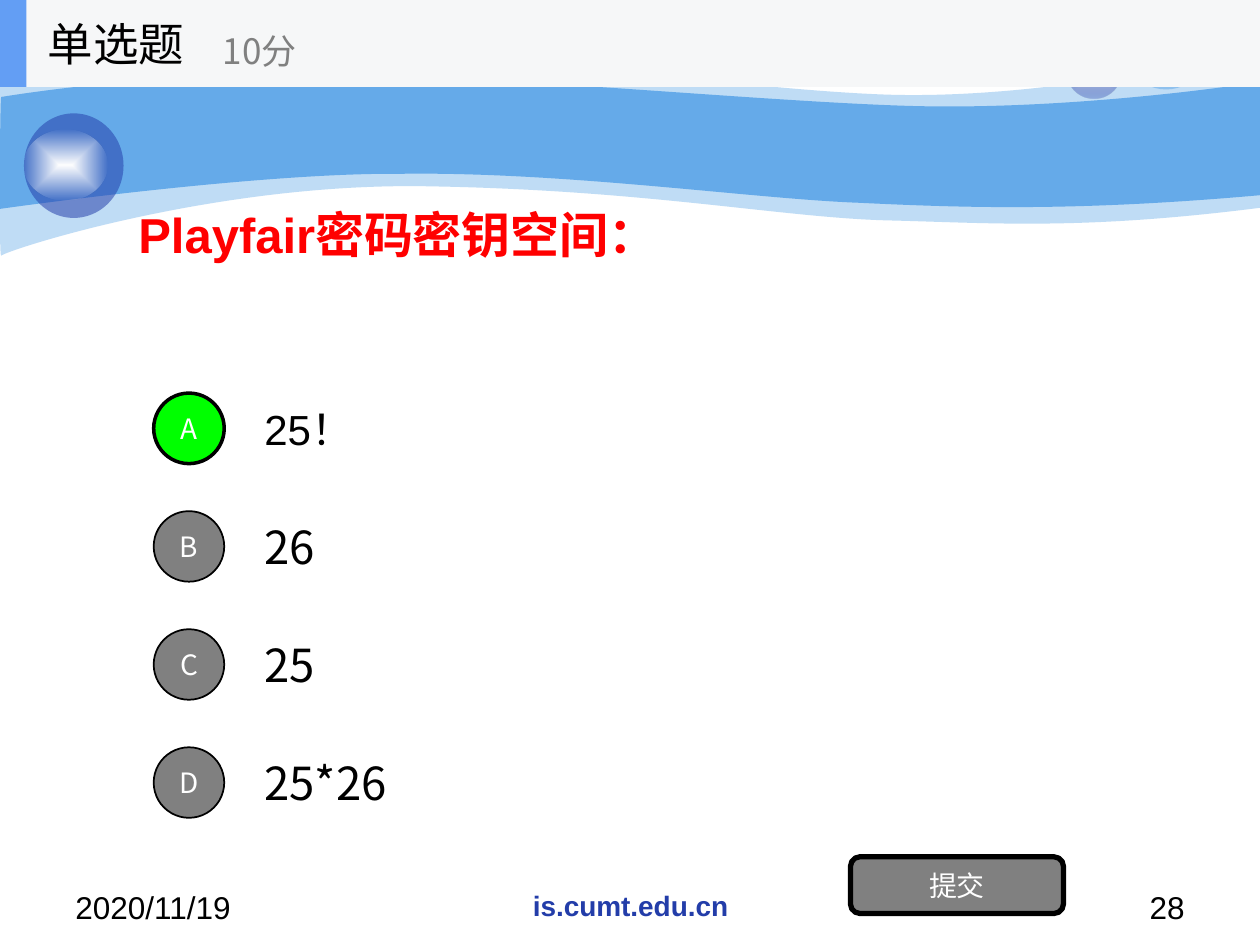
from lxml.etree import SubElement
from pptx import Presentation
from pptx.dml.color import RGBColor
from pptx.enum.shapes import MSO_SHAPE
from pptx.enum.text import MSO_ANCHOR, PP_ALIGN
from pptx.oxml.ns import qn
from pptx.util import Inches, Pt

HAN = "Noto Sans CJK SC"
BLUE, NAVY, SKY, GREY = "65AAE9", "233DA9", "639EF4", "808080"
BLACK, WHITE = "000000", "FFFFFF"
OUTER = [(0, 5), (2.4, 4.7, 10.7, 3.8, 24.7, 3.9), (38.6, 3.9, 57.5, 7, 69.9, 7.5),
         (82.2, 8, 98, 4.7, 100, 3.1), (100, 16.5),
         (85.8, 18.3, 78.7, 17.7, 70.5, 17.5), (62.2, 17.3, 51.5, 15.1, 34.3, 14.8),
         (17.2, 14.4, 0.4, 19.9, 0.1, 20.3), (-0.1, 20.8, 0, 7.5, 0, 5)]
INNER = [(0.1, 7.7), (0.2, 7.7, 11, 5.8, 24.8, 5.9), (38.6, 5.9, 59.5, 8, 71.8, 8.4),
         (84.1, 8.8, 97.6, 6.9, 100, 6.5), (100, 15.5),
         (85.3, 16.8, 76.5, 16.5, 68.2, 16.1), (59.9, 15.8, 44.7, 13.6, 31.7, 13.8),
         (20.3, 13.7, -0.2, 16.6, -0.1, 16.6), (0, 16.6, 0, 7.7, 0.1, 7.7)]


def unit(n):
    """Turn a count of grid cells into a length; the slide is 100 by 75 cells."""
    return Inches(n / 10)


def tint(code):
    """Turn a hex string into a colour."""
    return RGBColor.from_string(code)


def fade(shape, *shares):
    """Set the opacity, in percent, of each fill colour in turn."""
    for node, share in zip(shape._element.spPr.iter(qn("a:srgbClr")), shares):
        SubElement(node, qn("a:alpha"), val=str(share * 1000))


def paint(shape, fill, line=None, width=1):
    """Give a shape a flat fill and an optional outline."""
    shape.shadow.inherit = False
    shape.fill.solid()
    shape.fill.fore_color.rgb = tint(fill)
    if line:
        shape.line.color.rgb = tint(line)
        shape.line.width = Pt(width)
    else:
        shape.line.fill.background()
    return shape


def write(shape, text, size=16, font=HAN, color=BLACK, bold=False,
          align=PP_ALIGN.LEFT, anchor=MSO_ANCHOR.MIDDLE):
    """Put one formatted line of text into a shape."""
    frame = shape.text_frame
    frame.word_wrap = True
    frame.vertical_anchor = anchor
    para = frame.paragraphs[0]
    para.alignment = align
    run = para.add_run()
    run.text = text
    run.font.size = Pt(size)
    run.font.bold = bold
    run.font.color.rgb = tint(color)
    run.font.name = font
    SubElement(run._r.get_or_add_rPr(), qn("a:ea"), typeface=HAN)


def label(slide, box, text, **style):
    """Add a text box."""
    write(slide.shapes.add_textbox(*map(unit, box)), text, **style)


def block(slide, kind, box, fill, **edge):
    """Add a preset shape with a flat fill."""
    return paint(slide.shapes.add_shape(kind, *map(unit, box)), fill, **edge)


def button(slide, kind, box, text, fill, width):
    """Add an outlined shape with white centred text."""
    shape = block(slide, kind, box, fill, line=BLACK, width=width)
    frame = shape.text_frame
    frame.margin_left = frame.margin_right = 0
    write(shape, text, color=WHITE, align=PP_ALIGN.CENTER)


def glow(slide, box, core, rim, share):
    """Add an ellipse that blends from its core colour to a clearer rim."""
    shape = block(slide, MSO_SHAPE.OVAL, box, rim)
    shape.fill.gradient()
    for stop, code, place in zip(shape.fill.gradient_stops, (core, rim), (0, 1)):
        stop.color.rgb = tint(code)
        stop.position = place
    grad = shape._element.spPr.find(qn("a:gradFill"))
    grad.remove(grad.find(qn("a:lin")))
    ring = SubElement(grad, qn("a:path"), path="shape")
    SubElement(ring, qn("a:fillToRect"), l="50000", t="50000", r="50000", b="50000")
    fade(shape, 100, share)


def wave(slide, parts):
    """Add a blue band; parts of six numbers become cubic curves."""
    first, *rest = [(unit(x), unit(y)) for part in parts
                    for x, y in zip(part[::2], part[1::2])]
    pen = slide.shapes.build_freeform(*first)
    pen.add_line_segments(rest, close=True)
    shape = paint(pen.convert_to_shape(), BLUE)
    route = next(shape._element.spPr.iter(qn("a:path")))
    legs = iter(route.findall(qn("a:lnTo")))
    for part in parts[1:]:
        leg = next(legs)
        if len(part) == 6:
            leg.tag = qn("a:cubicBezTo")
            for more in (next(legs), next(legs)):
                leg.append(more[0])
                route.remove(more)
    return shape


def backdrop(slide):
    """Draw the waves and bubbles."""
    fade(wave(slide, OUTER), 41)
    wave(slide, INNER)
    glow(slide, (84.7, 3.8, 4.2, 4), "E1E2ED", NAVY, 31)
    for box, code in (((89.2, 0.6, 6.7, 6.5), BLUE), ((1.9, 9, 7.9, 8.3), NAVY)):
        fade(block(slide, MSO_SHAPE.OVAL, box, code), 53)
    glow(slide, (1.9, 10.3, 6.6, 5.6), WHITE, WHITE, 0)


def footer(slide):
    """Write the date, the site and the page number."""
    top = {"anchor": MSO_ANCHOR.TOP, "font": "Arial"}
    label(slide, (5, 70, 23.3, 3.5), "2020/11/19", size=18, **top)
    label(slide, (34.2, 70, 31.7, 3.5), "is.cumt.edu.cn", color=NAVY, bold=True,
          align=PP_ALIGN.CENTER, **top)
    label(slide, (71.7, 70, 23.3, 3.5), "28", size=18, align=PP_ALIGN.RIGHT, **top)


def quiz(slide):
    """Write the question, its options and the submit button."""
    label(slide, (10, 6.9, 80, 23.4), "Playfair密码密钥空间：", size=28,
          font="Arial", color="FF0000", bold=True)
    tops = [30.5 + 9.37 * row for row in range(4)]
    for y, text in zip(tops, ("25！", "26", "25", "25*26")):
        style = {"size": 24, "font": "Arial"} if text == "25！" else {"size": 26}
        label(slide, (20, y, 70, 7), text, **style)
    for y, mark in zip(tops, "ABCD"):
        fill, width = ("00FF00", 2) if mark == "A" else (GREY, 1)
        button(slide, MSO_SHAPE.OVAL, (12.2, y + 0.7, 5.6, 5.6), mark, fill, width)
    button(slide, MSO_SHAPE.ROUNDED_RECTANGLE, (67.5, 68, 16.9, 4.5), "提交", GREY, 3)


def header(slide):
    """Draw the title bar with the question type and its score."""
    block(slide, MSO_SHAPE.RECTANGLE, (0, 0, 100, 6.9), "F6F7F8")
    block(slide, MSO_SHAPE.RECTANGLE, (0, 0, 2.1, 6.9), SKY)
    label(slide, (2.8, 0, 20.8, 6.9), "单选题", size=26)
    label(slide, (16.7, 1.2, 25, 5.6), "10分", size=20, color=GREY)


def main():
    """Build the slide and save it."""
    deck = Presentation()
    deck.slide_width, deck.slide_height = unit(100), unit(75)
    slide = deck.slides.add_slide(deck.slide_layouts[6])
    for draw in (backdrop, footer, quiz, header):
        draw(slide)
    deck.save("out.pptx")


if __name__ == "__main__":
    main()
